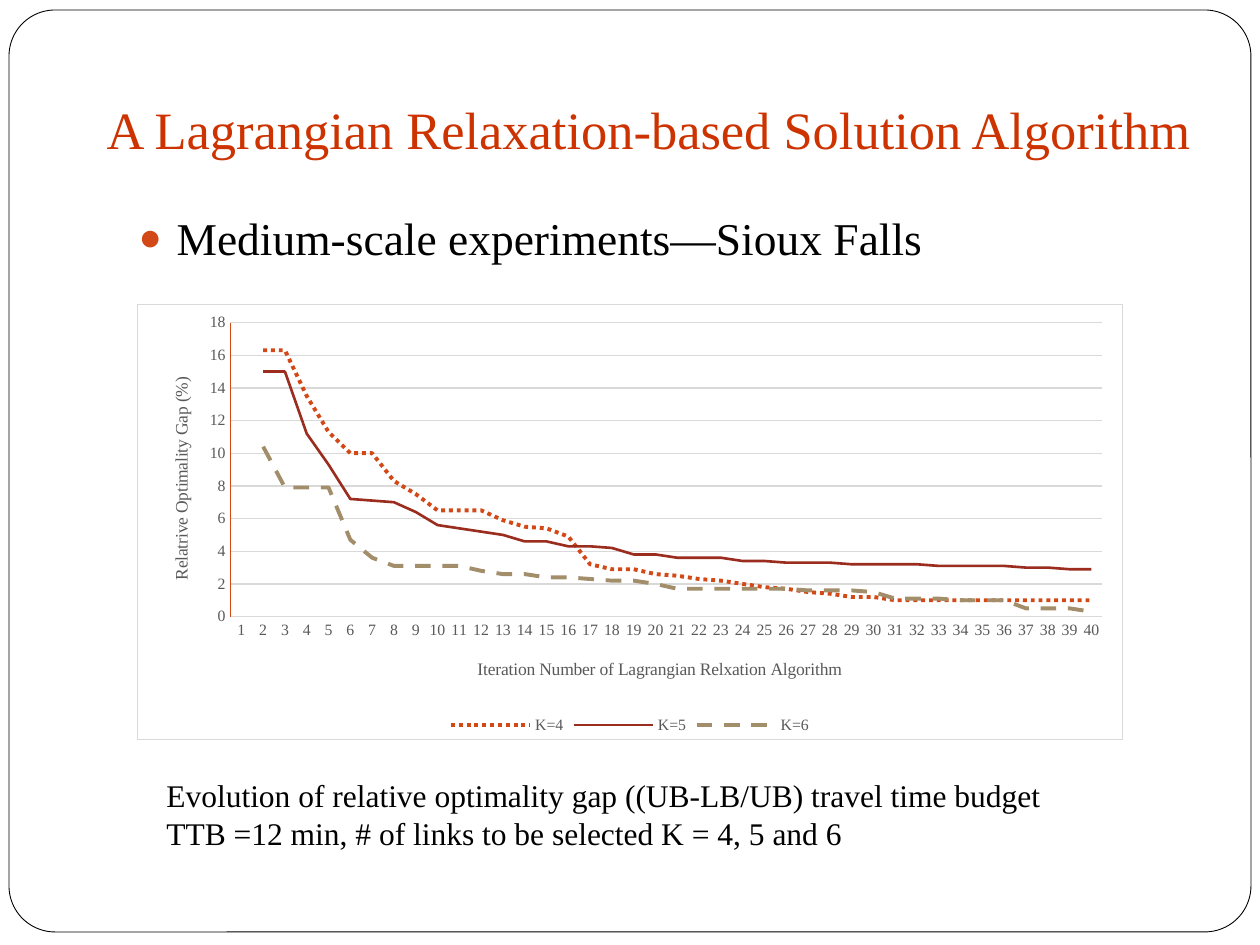
from lxml.etree import SubElement
from pptx import Presentation
from pptx.chart.data import CategoryChartData
from pptx.dml.color import RGBColor
from pptx.enum.chart import XL_CHART_TYPE, XL_LEGEND_POSITION, XL_TICK_MARK
from pptx.enum.dml import MSO_LINE
from pptx.enum.shapes import MSO_SHAPE
from pptx.enum.text import MSO_ANCHOR, MSO_AUTO_SIZE, PP_ALIGN
from pptx.oxml import parse_xml
from pptx.oxml.ns import nsdecls, qn
from pptx.util import Emu, Pt

FONT = "Times New Roman"
GRAY, PALE = "595959", "D9D9D9"
SERIES = [
    ("K=4", "D34817", 2.25, MSO_LINE.ROUND_DOT,
     [None, 16.3, 16.3, 13.5, 11.3, 10, 10, 8.3, 7.5, 6.5, 6.5, 6.5, 5.9, 5.5,
      5.4, 4.9, 3.2, 2.9, 2.9, 2.6, 2.5, 2.3, 2.2, 2, 1.8, 1.7, 1.5, 1.4,
      1.2, 1.2] + [1] * 10),
    ("K=5", "9B2D1F", 1.5, None,
     [None, 15, 15, 11.2, 9.3, 7.2, 7.1, 7, 6.4, 5.6, 5.4, 5.2, 5, 4.6, 4.6,
      4.3, 4.3, 4.2, 3.8, 3.8, 3.6, 3.6, 3.6, 3.4, 3.4, 3.3, 3.3, 3.3, 3.2,
      3.2, 3.2, 3.2, 3.1, 3.1, 3.1, 3.1, 3, 3, 2.9, 2.9]),
    ("K=6", "A28E6A", 2.25, MSO_LINE.DASH,
     [None, 10.4, 7.9, 7.9, 7.9, 4.7, 3.6, 3.1, 3.1, 3.1, 3.1, 2.8, 2.6, 2.6,
      2.4, 2.4, 2.3, 2.2, 2.2, 2, 1.7, 1.7, 1.7, 1.7, 1.7, 1.7, 1.6, 1.6,
      1.6, 1.5, 1.1, 1.1, 1.1, 1, 1, 1, 0.5, 0.5, 0.5, 0.3]),
]


def px(length):
    """Turn pixels at 126 to the inch into EMU."""
    return Emu(round(length * 914400 / 126))


def color(value):
    """Turn a hex string into a colour."""
    return RGBColor.from_string(value)


def place(shape, box):
    """Move a shape into a box of pixels."""
    shape.left, shape.top, shape.width, shape.height = map(px, box)


def style_font(font, size, value):
    """Format a font in the typeface of the slide."""
    font.name, font.size, font.bold = FONT, Pt(size), False
    font.color.rgb = color(value)


def style_line(line, value, width, dash=None):
    """Format a line with colour, width and dash."""
    line.color.rgb = color(value)
    line.width = Pt(width)
    if dash is not None:
        line.dash_style = dash


def write_text(frame, text, size, value="000000", anchor=MSO_ANCHOR.TOP,
               line_spacing=None, before=0, after=0):
    """Write one left-aligned paragraph and return it."""
    frame.word_wrap = True
    frame.vertical_anchor = anchor
    paragraph = frame.paragraphs[0]
    paragraph.alignment = PP_ALIGN.LEFT
    paragraph.line_spacing = line_spacing
    paragraph.space_before, paragraph.space_after = Pt(before), Pt(after)
    run = paragraph.add_run()
    run.text = text
    style_font(run.font, size, value)
    return paragraph


def add_frame(slide, box):
    """Draw the rounded page frame behind everything else."""
    shape = slide.shapes.add_shape(MSO_SHAPE.ROUNDED_RECTANGLE, *map(px, box))
    shape.adjustments[0] = 0.05
    shape.shadow.inherit = False
    shape.fill.solid()
    shape.fill.fore_color.rgb = color("FFFFFF")
    style_line(shape.line, "000000", 0.5)
    slide.shapes._spTree.insert(2, shape._element)


def add_title(slide, box, text):
    """Fill the title placeholder."""
    title = slide.shapes.title
    place(title, box)
    frame = title.text_frame
    frame.auto_size = MSO_AUTO_SIZE.NONE
    frame.margin_bottom = Pt(7.2)
    write_text(frame, text, 30, "CC3300", anchor=MSO_ANCHOR.BOTTOM,
               line_spacing=1.5, after=12)


def add_bullet(slide, box, text):
    """Fill the body placeholder with one bulleted line."""
    body = slide.placeholders[1]
    place(body, box)
    paragraph = write_text(body.text_frame, text, 26, before=5.8)
    properties = paragraph._p.get_or_add_pPr()
    properties.set("marL", str(px(38)))
    properties.set("indent", str(px(-38)))
    bullet_color = SubElement(properties, qn("a:buClr"))
    SubElement(bullet_color, qn("a:srgbClr"), val="D34817")
    SubElement(properties, qn("a:buSzPct"), val="85000")
    SubElement(properties, qn("a:buChar"), char="●")


def set_layout(element, chart_box, left, top, size=None):
    """Pin a chart part at pixels measured from the chart corner."""
    layout = element.find(qn("c:layout"))
    if layout is None:
        layout = parse_xml(f"<c:layout {nsdecls('c')}/>")
        element.insert(0, layout)
    manual = SubElement(layout, qn("c:manualLayout"))
    width, height = chart_box[2:]
    values = {"xMode": "edge", "yMode": "edge",
              "x": round(left / width, 4), "y": round(top / height, 4)}
    if size:
        values = {"layoutTarget": "inner", **values,
                  "w": round(size[0] / width, 4),
                  "h": round(size[1] / height, 4)}
    for name, value in values.items():
        SubElement(manual, qn(f"c:{name}"), val=str(value))


def style_axis(axis, title, line_color, chart_box, left, top):
    """Format an axis and place its title."""
    axis.major_tick_mark = axis.minor_tick_mark = XL_TICK_MARK.NONE
    style_font(axis.tick_labels.font, 9, GRAY)
    style_line(axis.format.line, line_color, 0.75)
    frame = axis.axis_title.text_frame
    run = frame.paragraphs[0].add_run()
    run.text = title
    style_font(run.font, 10, GRAY)
    set_layout(axis.axis_title._element, chart_box, left, top)
    return frame


def add_gap_chart(slide, box):
    """Draw the optimality gap for each number of links."""
    data = CategoryChartData()
    data.categories = [str(number) for number in range(1, 41)]
    for name, *_, values in SERIES:
        data.add_series(name, values)
    chart = slide.shapes.add_chart(
        XL_CHART_TYPE.LINE, *map(px, box), data).chart
    chart.has_title = False
    style_font(chart.font, 10, "000000")
    chart._chartSpace.find(qn("c:chart")).addnext(parse_xml(
        f'<c:spPr {nsdecls("c", "a")}><a:solidFill><a:srgbClr val="FFFFFF"/>'
        f'</a:solidFill><a:ln w="9525"><a:solidFill><a:srgbClr val="{PALE}"/>'
        '</a:solidFill></a:ln></c:spPr>'))
    chart.plots[0].vary_by_categories = False
    for series, (_, value, width, dash, _) in zip(chart.plots[0].series, SERIES):
        series.smooth = False
        style_line(series.format.line, value, width, dash)
    style_axis(chart.category_axis, "Iteration Number of Lagrangian Relxation Algorithm",
               PALE, box, 337, 351)
    value_axis = chart.value_axis
    value_title = style_axis(value_axis, "Relatrive Optimality Gap (%)",
                             "D34817", box, 29, 70)
    value_title._txBody.find(qn("a:bodyPr")).set("rot", "-5400000")
    value_axis.minimum_scale, value_axis.maximum_scale = 0, 18
    value_axis.major_unit = 2
    style_line(value_axis.major_gridlines.format.line, PALE, 0.75)
    chart.has_legend = True
    chart.legend.position = XL_LEGEND_POSITION.BOTTOM
    chart.legend.include_in_layout = False
    style_font(chart.legend.font, 9, GRAY)
    plot_area = chart._chartSpace.find(qn("c:chart")).find(qn("c:plotArea"))
    set_layout(plot_area, box, 93, 18, size=(873, 295))


def add_caption(slide, box, text):
    """Write the explanation under the chart."""
    frame = slide.shapes.add_textbox(*map(px, box)).text_frame
    write_text(frame, text, 18)
    frame.auto_size = MSO_AUTO_SIZE.SHAPE_TO_FIT_TEXT


def main():
    """Build and save the slide."""
    presentation = Presentation()
    presentation.slide_width, presentation.slide_height = px(1260), px(945)
    slide = presentation.slides.add_slide(presentation.slide_layouts[1])
    add_frame(slide, (9, 10, 1242, 922))
    add_title(slide, (94, 55, 1132, 118),
              "A Lagrangian Relaxation-based Solution Algorithm")
    add_bullet(slide, (126, 204, 1071, 625), "Medium-scale experiments—Sioux Falls")
    add_gap_chart(slide, (137, 304, 986, 436))
    add_caption(slide, (154, 770, 963, 89),
                "Evolution of relative optimality gap ((UB-LB/UB) travel time budget "
                "TTB =12 min, # of links to be selected K = 4, 5 and 6")
    presentation.save("out.pptx")


if __name__ == "__main__":
    main()
